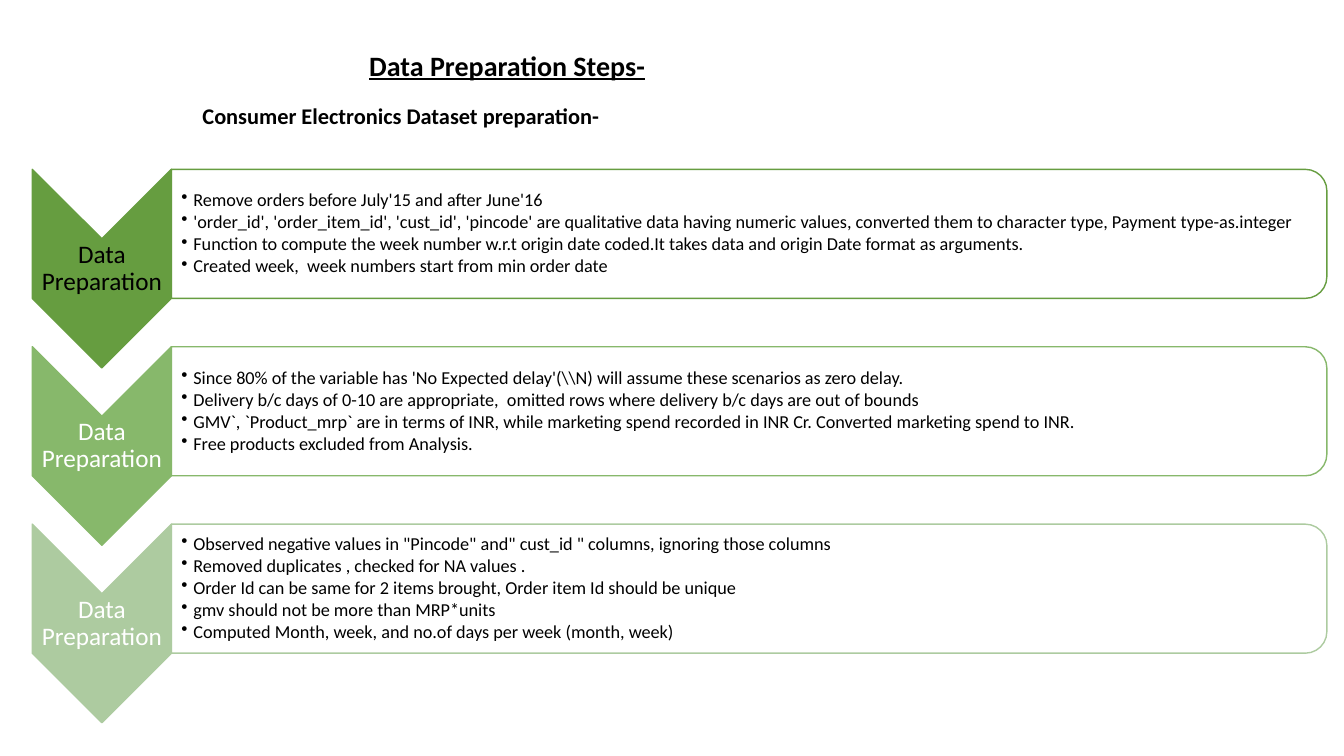
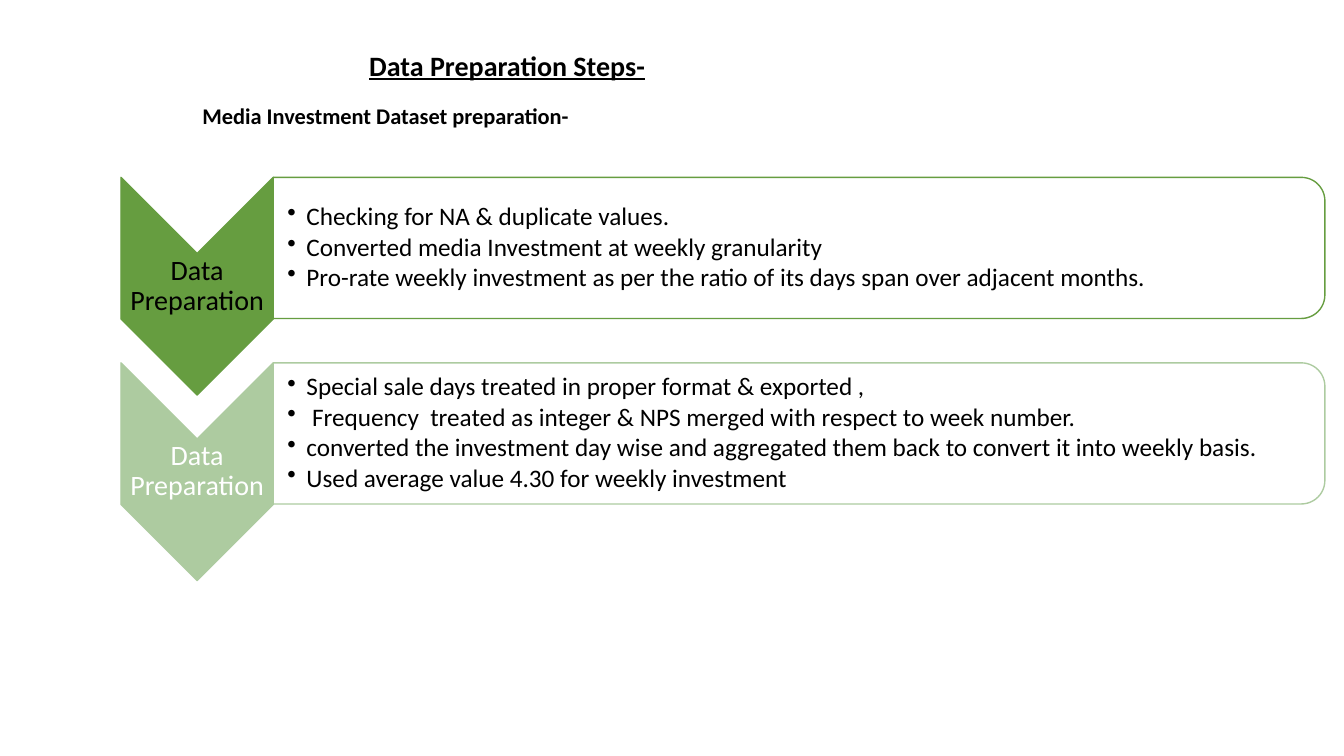
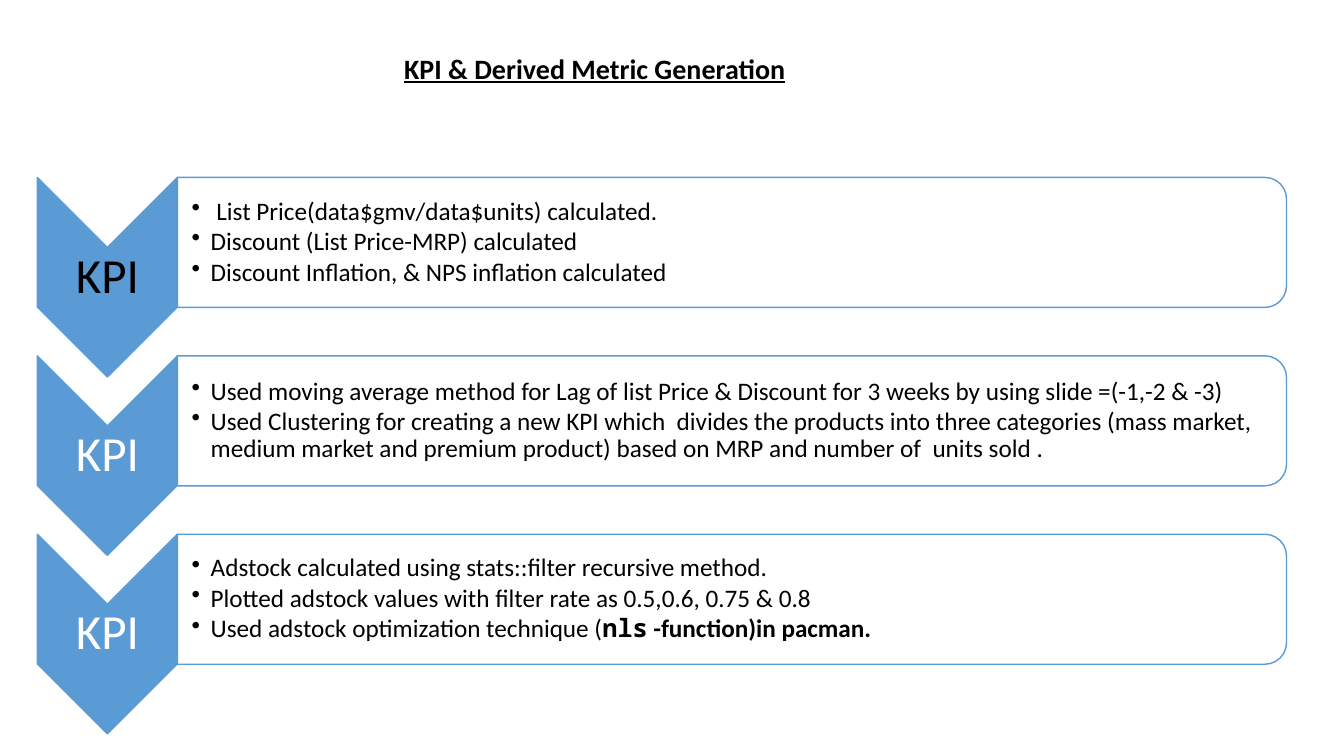
import pptx
import pptx.util
import pptx.dml.color
import pptx.enum.shapes
import pptx.enum.text
import lxml.etree

Inches, Pt = pptx.util.Inches, pptx.util.Pt
RGBColor = pptx.dml.color.RGBColor
PRESET = pptx.enum.shapes.MSO_SHAPE
ALIGN = pptx.enum.text.PP_ALIGN
MIDDLE = pptx.enum.text.MSO_ANCHOR.MIDDLE
FIT_SHAPE = pptx.enum.text.MSO_AUTO_SIZE.SHAPE_TO_FIT_TEXT

# Shared style
BLACK = RGBColor(0x00, 0x00, 0x00)
FIRST_LABEL = RGBColor(0x01, 0x00, 0x00)
WHITE = RGBColor(0xFF, 0xFF, 0xFF)
DARK_GREEN = RGBColor(0x66, 0x9D, 0x40)
MID_GREEN = RGBColor(0x87, 0xB8, 0x6B)
PALE_GREEN = RGBColor(0xAD, 0xCB, 0xA0)
BLUE = RGBColor(0x5B, 0x9B, 0xD5)
FONT = "Calibri"
MONO = "Noto Sans Mono"
DRAWING = "{http://schemas.openxmlformats.org/drawingml/2006/main}"
TEXT_MARGIN = 0.06

# Slide content: "at" is the left and top of the first chevron,
# "chevron" and "panel" are widths and heights, "pitch" is the row step
slides = [
    {
        "title": "Data Preparation Steps-", "title_at": (3.53, 0.43, 3),
        "subtitle": "Consumer Electronics Dataset preparation-",
        "at": (0.32, 1.68), "chevron": (1.38, 1.97), "panel": (11.46, 1.28), "pitch": 1.76,
        "label": "Data Preparation", "label_size": 18, "size": 13,
        "indent": 0.12, "inset": 0.1, "colors": [DARK_GREEN, MID_GREEN, PALE_GREEN],
        "steps": [
            ["Remove orders before July'15 and after June'16",
             "'order_id', 'order_item_id', 'cust_id', 'pincode' are qualitative data having numeric "
             "values, converted them to character type, Payment type-as.integer",
             "Function to compute the week number w.r.t origin date coded.It takes data and origin "
             "Date format as arguments.",
             "Created week,\u00a0 week numbers start from min order date"],
            ["Since 80% of the variable has 'No Expected delay'(\\\\N)\u00a0will assume these "
             "scenarios as zero delay.",
             "Delivery b/c days of 0-10 are appropriate,\u00a0 omitted rows where delivery b/c days "
             "are out of bounds",
             "GMV`, `Product_mrp` are in terms of INR, while marketing\u00a0spend recorded in INR Cr. "
             "Converted marketing spend to INR.",
             "Free products excluded from Analysis."],
            ['Observed negative values in "Pincode" and" cust_id " columns, ignoring those columns',
             "Removed duplicates , checked for NA values .",
             "Order Id can be same for 2 items brought, Order item Id should be unique",
             "gmv should not be more than MRP*units",
             "Computed Month, week, and no.of days per week (month, week)"],
        ],
    },
    {
        "title": "Data Preparation Steps-", "title_at": (3.53, 0.43, 3),
        "subtitle": "Media Investment Dataset preparation-",
        "at": (1.2, 1.76), "chevron": (1.51, 2.16), "panel": (10.43, 1.4), "pitch": 1.84,
        "label": "Data Preparation", "label_size": 20, "size": 18,
        "indent": 0.19, "inset": 0.14, "colors": [DARK_GREEN, PALE_GREEN],
        "steps": [
            ["Checking for NA & duplicate values.",
             "Converted media Investment at weekly granularity",
             "Pro-rate weekly investment as per the ratio of its days span over adjacent months."],
            ["Special sale days treated in proper format & exported ,",
             "\u00a0Frequency\u00a0 treated as integer & NPS merged with respect to week number.",
             "converted the investment day wise and aggregated them back to convert it into weekly "
             "basis.",
             "Used average value 4.30 for weekly investment\u00a0"],
        ],
    },
    {
        "title": "KPI & Derived Metric Generation", "title_at": (2.71, 0.46, 6.38),
        "subtitle": None,
        "at": (0.37, 1.76), "chevron": (1.39, 1.98), "panel": (11, 1.29), "pitch": 1.77,
        "label": "KPI", "label_size": 35, "size": 18,
        "indent": 0.19, "inset": 0.14, "colors": [BLUE, BLUE, BLUE],
        "steps": [
            [" List Price(data$gmv/data$units) calculated.",
             "Discount (List Price-MRP)\u00a0calculated",
             "Discount Inflation, & NPS inflation calculated"],
            ["Used moving average method for Lag of list Price & Discount for 3 weeks by using slide "
             "=(-1,-2 & -3)",
             "Used Clustering for creating a new KPI which\u00a0 divides the products into three "
             "categories (mass\u00a0market, medium market and premium product)\u00a0based on MRP and "
             "number of\u00a0 units sold ."],
            ["Adstock calculated using stats::filter recursive method.",
             "Plotted adstock values with filter rate as 0.5,0.6, 0.75 & 0.8",
             [("Used adstock optimization technique (", FONT, False), ("nls", MONO, True),
              ("\u00a0-function)in pacman.", FONT, True)]],
        ],
    },
]


def add_turned(page, preset, left, top, width, height, fill, line):
    """Add a shape turned by 90 degrees that covers the given area."""
    shape = page.shapes.add_shape(
        preset, Inches(left + (width - height) / 2), Inches(top + (height - width) / 2),
        Inches(height), Inches(width))
    shape.rotation = 90
    shape.shadow.inherit = False
    shape.fill.solid()
    shape.fill.fore_color.rgb = fill
    shape.line.color.rgb = line
    shape.line.width = Pt(1)
    return shape


def add_text(page, left, top, width, height, lines, size, color=BLACK, bold=None, inset=None):
    """Add a text box; an inset (left, other sides) also centres the text vertically."""
    box = page.shapes.add_textbox(Inches(left), Inches(top), Inches(width), Inches(height))
    frame = box.text_frame
    frame.word_wrap = True
    if inset:
        frame.vertical_anchor = MIDDLE
        frame.margin_left = Inches(inset[0])
        frame.margin_top = frame.margin_right = frame.margin_bottom = Inches(inset[1])
    else:
        frame.auto_size = FIT_SHAPE
    for number, line in enumerate(lines):
        para = frame.add_paragraph() if number else frame.paragraphs[0]
        para.font.name, para.font.size = FONT, Pt(size)
        para.font.color.rgb, para.font.bold = color, bold
        if isinstance(line, str):
            para.add_run().text = line
            continue
        for words, font_name, strong in line:
            span = para.add_run()
            span.text = words
            span.font.name, span.font.bold = font_name, strong
    return frame.paragraphs


deck = pptx.Presentation()
deck.slide_width, deck.slide_height = Inches(13.33), Inches(7.5)

for content in slides:
    page = deck.slides.add_slide(deck.slide_layouts[6])

    # Headings
    left, top, width = content["title_at"]
    title = add_text(page, left, top, width, 0.44, [content["title"]], 20, bold=True)[0]
    title.alignment = ALIGN.CENTER
    title.font.underline = True
    if content["subtitle"]:
        add_text(page, 1.91, 0.96, 6.67, 0.37, [content["subtitle"]], 16, bold=True)

    # One row per step: chevron with label, panel with bullets
    left, first_top = content["at"]
    chevron_width, chevron_height = content["chevron"]
    panel_width, panel_height = content["panel"]
    panel_left = left + chevron_width
    for row, (color, bullets) in enumerate(zip(content["colors"], content["steps"])):
        top = first_top + row * content["pitch"]
        add_turned(page, PRESET.CHEVRON, left, top, chevron_width, chevron_height, color, color)
        label = add_text(
            page, left, top + chevron_width / 2, chevron_width, chevron_height - chevron_width,
            [content["label"]], content["label_size"], WHITE if row else FIRST_LABEL,
            inset=(0.01, 0.01))[0]
        label.alignment = ALIGN.CENTER
        label.line_spacing = 0.9

        panel = add_turned(page, PRESET.ROUND_2_SAME_RECTANGLE, panel_left, top,
                           panel_width, panel_height, WHITE, color)
        panel_color = panel.fill._xPr.find(f"{DRAWING}solidFill/{DRAWING}srgbClr")
        lxml.etree.SubElement(panel_color, DRAWING + "alpha", val="90000")

        paras = add_text(
            page, panel_left, top + TEXT_MARGIN, panel_width - TEXT_MARGIN,
            panel_height - 2 * TEXT_MARGIN, bullets, content["size"],
            inset=(content["inset"], 0.01))
        for para in paras:
            para.level = 1
            para.line_spacing = 0.9
            para.space_after = Pt(0.13 * content["size"])
            settings = para._p.get_or_add_pPr()
            settings.set("marL", str(Inches(content["indent"])))
            settings.set("indent", str(-Inches(content["indent"])))
            bullet = lxml.etree.Element(DRAWING + "buChar", char="\u2022")
            settings.find(DRAWING + "defRPr").addprevious(bullet)

deck.save("out.pptx")
